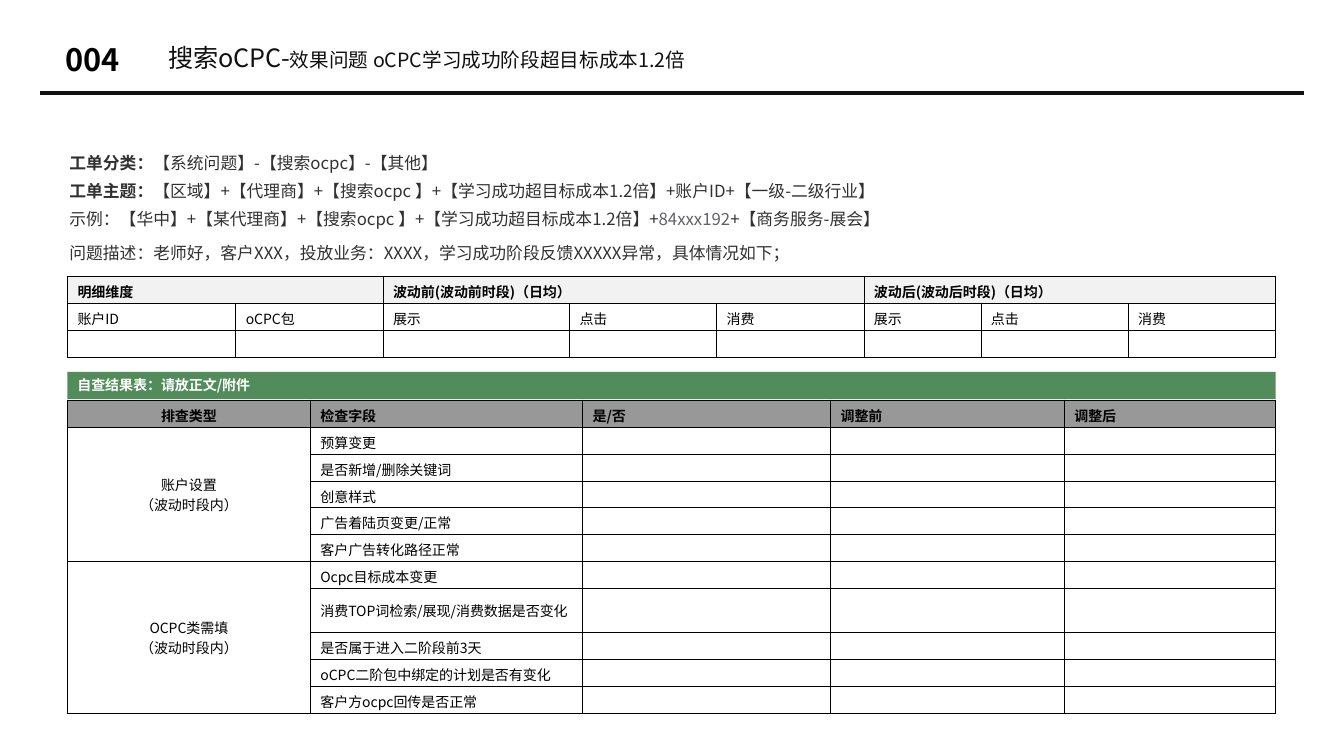
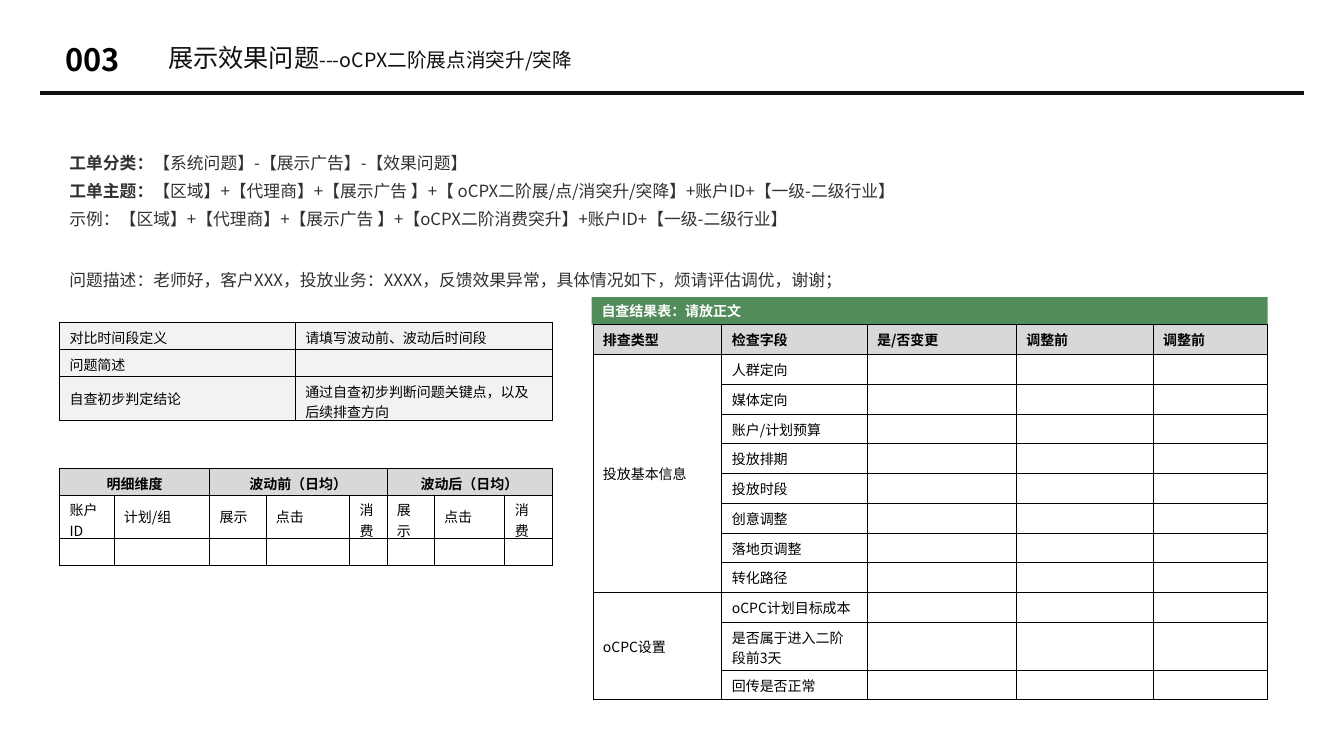
from dataclasses import dataclass, field
from typing import NamedTuple

from lxml.etree import SubElement
from pptx import Presentation
from pptx.dml.color import RGBColor
from pptx.enum.shapes import MSO_CONNECTOR, MSO_SHAPE
from pptx.enum.text import MSO_ANCHOR as Anchor, MSO_AUTO_SIZE as AutoSize, PP_ALIGN as Align
from pptx.oxml.ns import qn
from pptx.util import Cm, Pt

FONT = "Noto Sans CJK SC"
COLORS = {
    "ink": "101010", "body": "313131", "grey": "606266", "black": "000000",
    "white": "FFFFFF", "green": "538C5B",
    "head_dark": "989898", "head_mid": "D8D8D8", "head_light": "F2F2F2",
}


class Run(NamedTuple):
    text: str
    size: float = 12
    color: str = "body"
    bold: bool = False


class Box(NamedTuple):
    x: float
    y: float
    w: float
    h: float


@dataclass
class Grid:
    x: float
    y: float
    cols: list[float]
    rows: list[float]
    cells: list[list[str]]
    head: str
    head_rows: int = 1
    bold_head: bool = True
    spans: list[tuple[int, int, int, int]] = field(default_factory=list)
    centred: set[tuple[int, int]] = field(default_factory=set)


@dataclass
class Page:
    number: str
    title: list[Run]
    ticket: list[list[Run]]
    problem: str
    problem_box: Box
    banner: str
    banner_box: Box
    grids: list[Grid]


def rgb(name: str) -> RGBColor:
    return RGBColor.from_string(COLORS[name])


# Text
def format_run(r, size: float, color: str, bold: bool) -> None:
    r.font.size, r.font.bold, r.font.name = Pt(size), bold, FONT
    r.font.color.rgb = rgb(color)
    SubElement(r.font._element, qn("a:ea")).set("typeface", FONT)


def fill_paragraph(p, runs: list[Run], spacing=None) -> None:
    p.line_spacing = spacing
    for run in runs:
        r = p.add_run()
        r.text = run.text
        format_run(r, run.size, run.color, run.bold)


def add_text(s, box: Box, lines: list[list[Run]], spacing=None, flush: bool = False) -> None:
    tf = s.shapes.add_textbox(*map(Cm, box)).text_frame
    tf.word_wrap, tf.auto_size = True, AutoSize.SHAPE_TO_FIT_TEXT
    if flush:
        tf.vertical_anchor = Anchor.MIDDLE
        tf.margin_left = tf.margin_right = tf.margin_top = tf.margin_bottom = 0
    for i, runs in enumerate(lines):
        fill_paragraph(tf.add_paragraph() if i else tf.paragraphs[0], runs, spacing)


# Shared title band
def add_header(s, number: str, title: list[Run]) -> None:
    rule = s.shapes.add_connector(MSO_CONNECTOR.STRAIGHT, Cm(1.02), Cm(2.34), Cm(32.87), Cm(2.34))
    rule.line.color.rgb, rule.line.width = rgb("ink"), Pt(3)
    SubElement(rule._element.spPr, qn("a:effectLst"))
    add_text(s, Box(4.24, 1.14, 22.68, 0.69), [title], 0.9, flush=True)
    add_text(s, Box(1.65, 1.02, 1.7, 0.94), [[Run(number, 22, "black", True)]], flush=True)


def add_banner(s, box: Box, text: str) -> None:
    sp = s.shapes.add_shape(MSO_SHAPE.RECTANGLE, *map(Cm, box))
    sp.shadow.inherit = False
    sp.fill.solid()
    sp.fill.fore_color.rgb = rgb("green")
    sp.line.fill.background()
    tf = sp.text_frame
    tf.word_wrap, tf.auto_size = True, AutoSize.SHAPE_TO_FIT_TEXT
    tf.vertical_anchor = Anchor.TOP
    tf.paragraphs[0].alignment = Align.LEFT
    fill_paragraph(tf.paragraphs[0], [Run(text, 10, "white", True)])


# Tables
def add_borders(cell) -> None:
    tcPr = cell._tc.get_or_add_tcPr()
    for side in ("lnL", "lnR", "lnT", "lnB"):
        ln = SubElement(tcPr, qn(f"a:{side}"), w=str(Pt(0.5)))
        fill = SubElement(ln, qn("a:solidFill"))
        SubElement(fill, qn("a:srgbClr"), val=COLORS["black"])


def add_grid(s, grid: Grid) -> None:
    size = Cm(sum(grid.cols)), Cm(sum(grid.rows))
    table = s.shapes.add_table(len(grid.rows), len(grid.cols), Cm(grid.x), Cm(grid.y), *size).table
    table.first_row = table.horz_banding = False
    for col, width in zip(table.columns, grid.cols):
        col.width = Cm(width)
    for row, height in zip(table.rows, grid.rows):
        row.height = Cm(height)
    for i, texts in enumerate(grid.cells):
        is_head = i < grid.head_rows
        for j, text in enumerate(texts):
            cell = table.cell(i, j)
            add_borders(cell)
            cell.vertical_anchor = Anchor.MIDDLE
            if is_head:
                cell.fill.solid()
                cell.fill.fore_color.rgb = rgb(grid.head)
            else:
                cell.fill.background()
            cell.text_frame.text = text
            p = cell.text_frame.paragraphs[0]
            if (i, j) in grid.centred:
                p.alignment = Align.CENTER
            for r in p.runs:
                format_run(r, 10, "black", is_head and grid.bold_head)
            # Empty cells keep the same line height as filled ones
            p._p.get_or_add_endParaRPr().set("sz", "1000")
    for top, left, bottom, right in grid.spans:
        table.cell(top, left).merge(table.cell(bottom, right))


def check_cells(header: list[str], groups: dict[str, list[str]]) -> list[list[str]]:
    """Header row, then one row per check with the group name in its first row."""
    rows = [header]
    for name, checks in groups.items():
        rows += [["" if k else name, check, "", "", ""] for k, check in enumerate(checks)]
    return rows


def metric_cells(before: str, after: str, unit: str) -> list[list[str]]:
    metrics = ["展示", "点击", "消费"]
    return [["明细维度", "", before, "", "", after, "", ""],
            ["账户ID", unit, *metrics, *metrics],
            [""] * 8]


METRIC_SPANS = [(0, 0, 0, 1), (0, 2, 0, 4), (0, 5, 0, 7)]
LOW_ROWS = [0.43] * 3


def ticket_lines(category: str, subject: str, example: list[Run]) -> list[list[Run]]:
    return [[Run("工单分类：", bold=True), Run(category)],
            [Run("工单主题：", bold=True), Run(subject)],
            example]


PAGES = [
    Page(
        "004",
        [Run("搜索oCPC-", 18, "ink"), Run("效果问题 oCPC学习成功阶段超目标成本1.2倍", 14, "ink")],
        ticket_lines(
            "【系统问题】-【搜索ocpc】-【其他】",
            "【区域】+【代理商】+【搜索ocpc 】+【学习成功超目标成本1.2倍】+账户ID+【一级-二级行业】",
            [Run("示例：【华中】+【某代理商】+【搜索ocpc 】+【学习成功超目标成本1.2倍】+"),
             Run("84xxx192", color="grey"), Run("+【商务服务-展会】")]),
        "问题描述：老师好，客户XXX，投放业务：XXXX，学习成功阶段反馈XXXXX异常，具体情况如下；",
        Box(1.5, 5.74, 21.69, 0.94),
        "自查结果表：请放正文/附件",
        Box(1.7, 9.37, 30.45, 0.69),
        [
            Grid(1.7, 10.08, [6.12, 6.86, 6.25, 5.89, 5.33], [0.48] + [0.53] * 10,
                 check_cells(["排查类型", "检查字段", "是/否", "调整前", "调整后"], {
                     "账户设置\v（波动时段内）": [
                         "预算变更", "是否新增/删除关键词", "创意样式",
                         "广告着陆页变更/正常", "客户广告转化路径正常"],
                     "OCPC类需填\v（波动时段内）": [
                         "Ocpc目标成本变更", "消费TOP词检索/展现/消费数据是否变化",
                         "是否属于进入二阶段前3天", "oCPC二阶包中绑定的计划是否有变化",
                         "客户方ocpc回传是否正常"]}),
                 "head_dark", spans=[(1, 0, 5, 0), (6, 0, 10, 0)],
                 centred={(0, 0), (1, 0), (6, 0)}),
            Grid(1.7, 6.96, [4.24, 3.71, 4.7, 3.71, 3.71, 2.95, 3.71, 3.71], LOW_ROWS,
                 metric_cells("波动前(波动前时段)（日均）", "波动后(波动后时段)（日均）", "oCPC包"),
                 "head_light", spans=METRIC_SPANS),
        ],
    ),
    Page(
        "003",
        [Run("展示效果问题", 18, "ink"), Run("---oCPX二阶展点消突升/突降", 14, "ink")],
        ticket_lines(
            "【系统问题】-【展示广告】-【效果问题】",
            "【区域】+【代理商】+【展示广告 】+【 oCPX二阶展/点/消突升/突降】+账户ID+【一级-二级行业】",
            [Run("示例：【区域】+【代理商】+【展示广告 】+【oCPX二阶消费突升】+账户ID+【一级-二级行业】")]),
        "问题描述：老师好，客户XXX，投放业务：XXXX，反馈效果异常，具体情况如下，烦请评估调优，谢谢；",
        Box(1.5, 6.43, 25.32, 0.94),
        "自查结果表：请放正文",
        Box(14.91, 7.49, 17.04, 0.69),
        [
            Grid(14.94, 8.18, [3.25, 3.66, 3.76, 3.45, 2.87], [0.75] * 10 + [1.2, 0.75],
                 check_cells(["排查类型", "检查字段", "是/否变更", "调整前", "调整前"], {
                     "投放基本信息": [
                         "人群定向", "媒体定向", "账户/计划预算", "投放排期",
                         "投放时段", "创意调整", "落地页调整", "转化路径"],
                     "oCPC设置": [
                         "oCPC计划目标成本", "是否属于进入二阶段前3天", "回传是否正常"]}),
                 "head_mid", spans=[(1, 0, 8, 0), (9, 0, 11, 0)]),
            Grid(1.5, 8.13, [5.94, 6.48], LOW_ROWS,
                 [["对比时间段定义", "请填写波动前、波动后时间段"],
                  ["问题简述", ""],
                  ["自查初步判定结论", "通过自查初步判断问题关键点，以及后续排查方向"]],
                 "head_light", head_rows=3, bold_head=False),
            Grid(1.5, 11.79, [1.37, 2.41, 1.42, 2.11, 0.94, 1.19, 1.78, 1.19], LOW_ROWS,
                 metric_cells("波动前（日均）", "波动后（日均）", "计划/组"),
                 "head_mid", spans=METRIC_SPANS, centred={(0, 0), (0, 2), (0, 5)}),
        ],
    ),
]


def add_page(prs, page: Page) -> None:
    s = prs.slides.add_slide(prs.slide_layouts[6])
    add_header(s, page.number, page.title)
    add_text(s, Box(1.5, 3.53, 30.84, 2.39), page.ticket, Pt(20))
    add_text(s, page.problem_box, [[Run(page.problem)]], 1.5)
    add_banner(s, page.banner_box, page.banner)
    for grid in page.grids:
        add_grid(s, grid)


def main() -> None:
    prs = Presentation()
    prs.slide_width, prs.slide_height = Cm(33.87), Cm(19.05)
    for page in PAGES:
        add_page(prs, page)
    prs.save("out.pptx")


if __name__ == "__main__":
    main()
